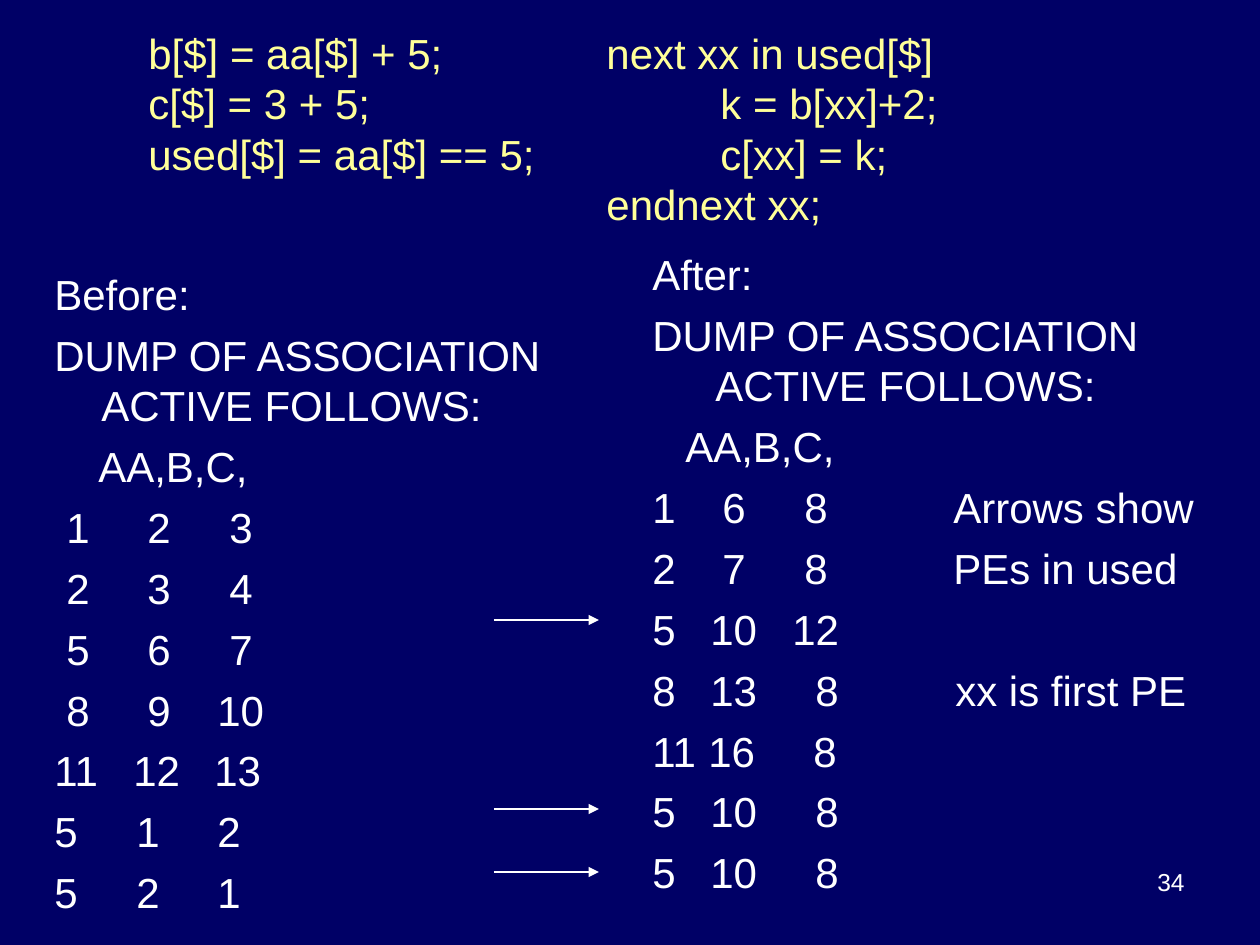
import pptx
import pptx.util
import pptx.dml.color
import pptx.enum.shapes
import pptx.enum.text
import lxml.etree

PX = 914400 // 126
NS = "http://schemas.openxmlformats.org/drawingml/2006/main"
NAVY = pptx.dml.color.RGBColor(0x00, 0x00, 0x66)
WHITE = pptx.dml.color.RGBColor(0xFF, 0xFF, 0xFF)
YELLOW = pptx.dml.color.RGBColor(0xFF, 0xFF, 0x99)


def add_text(rows, box, size=24, color=WHITE, hang=0, gap=0, lead=28.8, align="LEFT"):
    """Each row is its text and its tab stops; rows without stops hang."""
    frame = slide.shapes.add_textbox(*[n * PX for n in box]).text_frame
    frame.word_wrap = True
    for i, (text, stops) in enumerate(rows):
        para = frame.paragraphs[0] if i == 0 else frame.add_paragraph()
        props = para._p.get_or_add_pPr()
        if stops:
            tabs = lxml.etree.SubElement(props, f"{{{NS}}}tabLst")
            for stop in stops:
                lxml.etree.SubElement(tabs, f"{{{NS}}}tab", pos=str(stop * PX), algn="l")
        elif hang:
            props.set("marL", str(hang * PX))
            props.set("indent", str(-hang * PX))
        para.alignment = getattr(pptx.enum.text.PP_ALIGN, align)
        para.line_spacing = pptx.util.Pt(lead)
        para.space_before = pptx.util.Pt(gap if i else 0)
        run = para.add_run()
        run.text = text
        run.font.name = "Arial"
        run.font.size = pptx.util.Pt(size)
        run.font.color.rgb = color


deck = pptx.Presentation()
deck.slide_width = 1260 * PX
deck.slide_height = 945 * PX
slide = deck.slides.add_slide(deck.slide_layouts[6])
slide.background.fill.solid()
slide.background.fill.fore_color.rgb = NAVY

# Code in two columns, the loop body one stop further in
code = [
    "b[$] = aa[$] + 5;\tnext xx in used[$]",
    "c[$] = 3 + 5;\t\tk = b[xx]+2;",
    "used[$] = aa[$] == 5;\t\tc[xx] = k;",
    "\tendnext xx;",
]
add_text([(line, (458, 572)) for line in code], (136, 21, 903, 257), color=YELLOW)

# Dump before the loop
dump = "DUMP OF ASSOCIATION ACTIVE FOLLOWS:"
before = [
    ("Before:", ()),
    (dump, ()),
    ("\tAA,B,C,", (44,)),
    ("\t1\t2\t3", (12, 93, 175)),
    ("\t2\t3\t4", (12, 93, 175)),
    ("\t5\t6\t7", (12, 93, 175)),
    ("\t8\t9\t10", (12, 93, 163)),
    ("11\t12\t13", (79, 160)),
    ("5\t1\t2", (82, 163)),
    ("5\t2\t1", (82, 163)),
]
add_text(before, (42, 262, 557, 683), hang=47, gap=6)

# Dump after the loop, with remarks
after = [
    ("After:", ()),
    (dump, ()),
    ("\tAA,B,C,", (33,)),
    ("1\t6\t8\tArrows show", (70, 152, 301)),
    ("2\t7\t8\tPEs in used", (70, 152, 301)),
    ("5\t10\t12", (58, 140)),
    ("8\t13\t8\txx is first PE", (58, 163, 303)),
    ("11\t16\t8", (56, 161)),
    ("5\t10\t8", (58, 163)),
    ("5\t10\t8", (58, 163)),
]
add_text(after, (640, 242, 620, 703), hang=63, gap=6)

# Arrows to the used rows
for y in (620, 809, 872):
    arrow = slide.shapes.add_connector(
        pptx.enum.shapes.MSO_CONNECTOR.STRAIGHT, 494 * PX, y * PX, 599 * PX, y * PX)
    arrow.line.color.rgb = WHITE
    arrow.line.width = pptx.util.Pt(0.75)
    lxml.etree.SubElement(arrow.line._get_or_add_ln(), f"{{{NS}}}tailEnd", type="triangle")
    lxml.etree.SubElement(arrow._element.spPr, f"{{{NS}}}effectLst")

# Slide number
add_text([("34", ())], (903, 861, 294, 66), size=14, lead=16.8, align="RIGHT")

deck.save("out.pptx")
